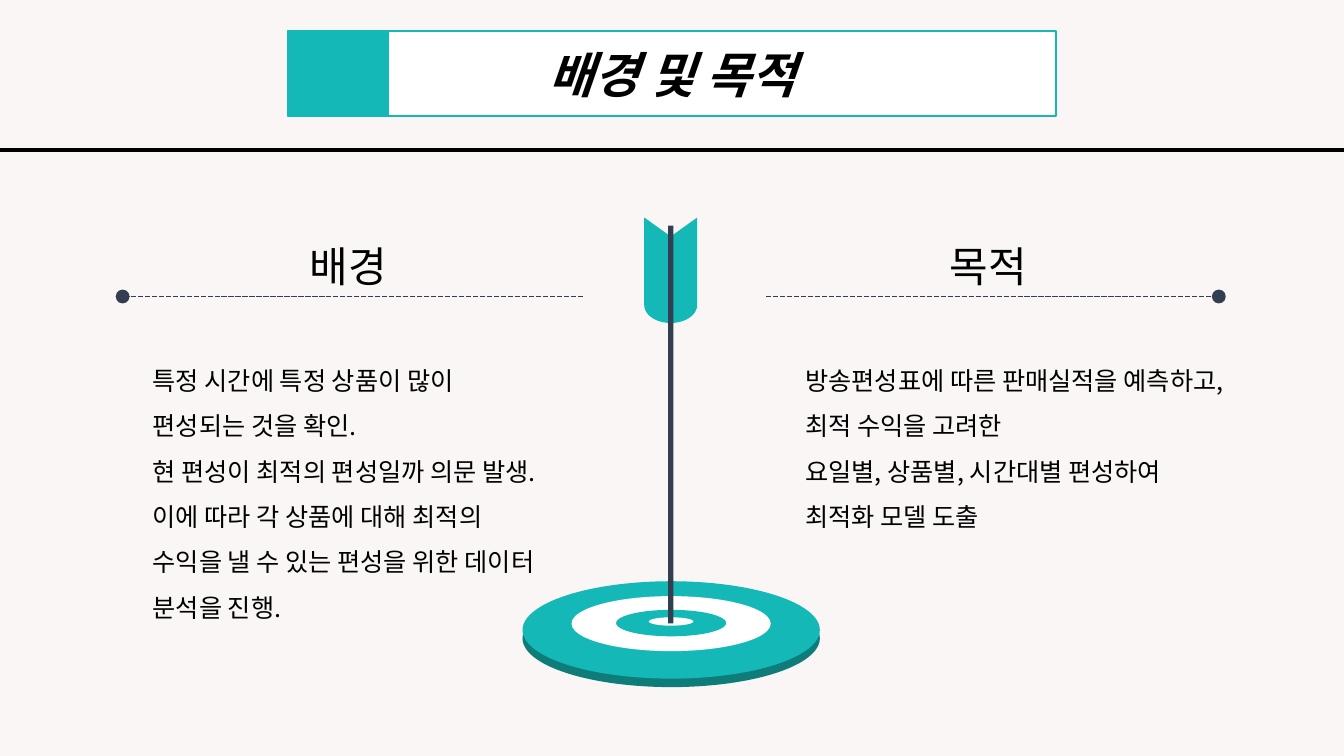
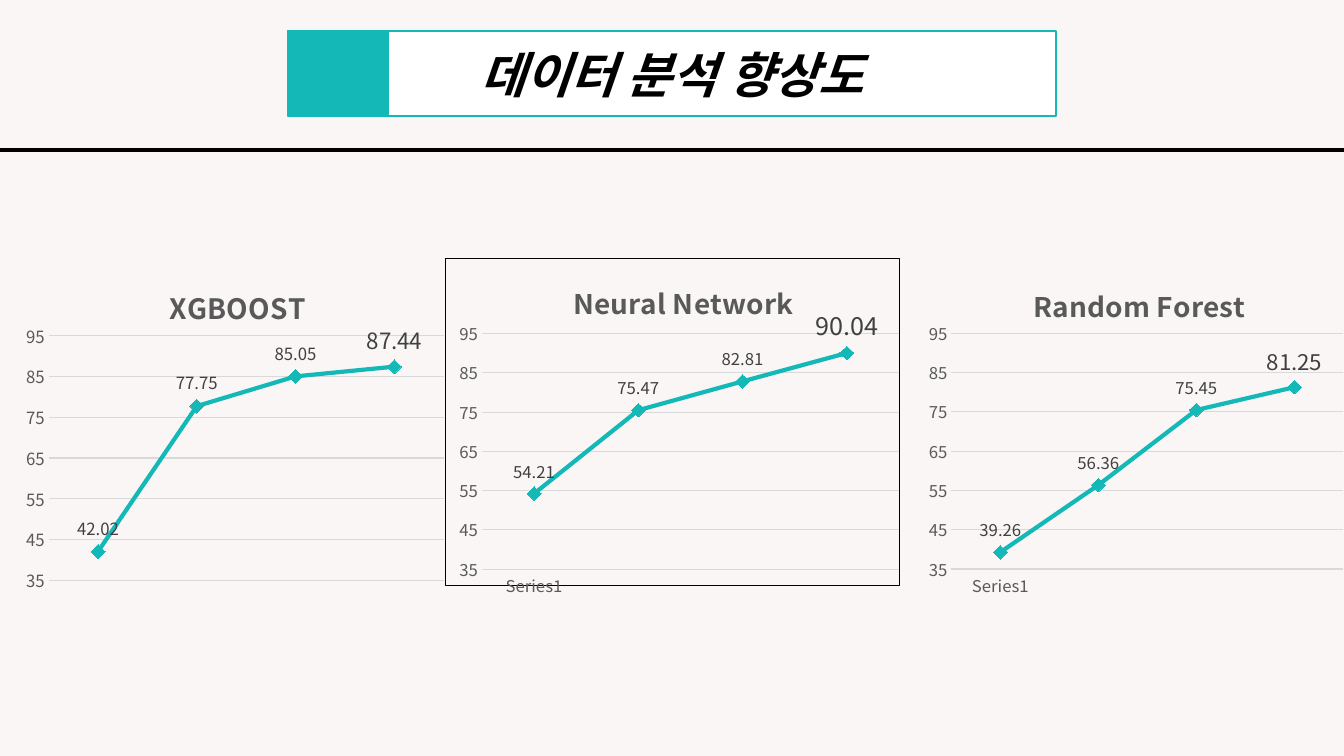
from math import cos, pi, sin
from typing import NamedTuple

from lxml import etree
from pptx import Presentation
from pptx.chart.data import CategoryChartData
from pptx.dml.color import RGBColor
from pptx.enum.chart import XL_CHART_TYPE, XL_LABEL_POSITION, XL_MARKER_STYLE, XL_TICK_MARK
from pptx.enum.dml import MSO_LINE
from pptx.enum.shapes import MSO_CONNECTOR, MSO_SHAPE
from pptx.enum.text import MSO_ANCHOR, MSO_AUTO_SIZE, PP_ALIGN
from pptx.oxml.ns import qn
from pptx.util import Inches, Pt

FONT = "Noto Sans CJK KR"
COLORS = {
    "paper": "F9F6F5",
    "white": "FFFFFF",
    "black": "000000",
    "teal": "14B9B7",
    "deep_teal": "0E7C79",
    "navy": "333F50",
    "label": "404040",
    "axis": "595959",
    "grid": "D9D9D9",
}

# The slide is a grid of 160 columns by 90 rows.
COLUMNS, ROWS = 160, 90
CELL = Inches(7.5) // ROWS


class Box(NamedTuple):
    """An area in grid cells."""
    x: float
    y: float
    w: float
    h: float

    def share(self, x, y, w, h):
        """The area at the given shares of this one."""
        return Box(self.x + x * self.w, self.y + y * self.h, w * self.w, h * self.h)

    def emu(self):
        return [round(cells * CELL) for cells in self]


HEADER = Box(34.3, 3.7, 91.4, 10.1)
HEADER_RULE_ROW = 17.9


def color(name):
    return RGBColor.from_string(COLORS[name])


def paint(shape, fill, line=None, width=1):
    shape.fill.solid()
    shape.fill.fore_color.rgb = color(fill)
    if line:
        shape.line.color.rgb = color(line)
        shape.line.width = Pt(width)
    else:
        shape.line.fill.background()


def style_font(font, size, name="black"):
    font.name = FONT
    font.size = Pt(size)
    font.color.rgb = color(name)


def style_paragraph(paragraph, size):
    """Style a paragraph, with the same font for Hangul."""
    style_font(paragraph.font, size)
    defaults = paragraph._p.pPr.find(qn("a:defRPr"))
    etree.SubElement(defaults, qn("a:ea"), typeface=FONT)


def add_block(slide, kind, box, fill, line=None):
    block = slide.shapes.add_shape(kind, *box.emu())
    block.shadow.inherit = False
    paint(block, fill, line)


def add_rule(slide, start, end, row, line, width):
    rule = slide.shapes.add_connector(
        MSO_CONNECTOR.STRAIGHT, *(round(cells * CELL) for cells in (start, row, end, row)))
    rule.line.color.rgb = color(line)
    rule.line.width = Pt(width)
    etree.SubElement(rule._element.spPr, qn("a:effectLst"))
    return rule


def add_text(slide, box, lines, size, spacing=1.0):
    frame = slide.shapes.add_textbox(*box.emu()).text_frame
    frame.word_wrap = True
    frame.text = "\n".join(lines)
    for paragraph in frame.paragraphs:
        paragraph.line_spacing = spacing
        style_paragraph(paragraph, size)


def add_titled_slide(prs, heading):
    slide = prs.slides.add_slide(prs.slide_layouts[5])
    title = slide.shapes.title
    title.left, title.top, title.width, title.height = HEADER.emu()
    paint(title, "white", "teal", 1.5)
    frame = title.text_frame
    frame.text = heading
    frame.auto_size = MSO_AUTO_SIZE.NONE
    frame.vertical_anchor = MSO_ANCHOR.MIDDLE
    paragraph = frame.paragraphs[0]
    paragraph.alignment = PP_ALIGN.CENTER
    style_paragraph(paragraph, 35)
    paragraph.font.bold = paragraph.font.italic = True
    add_rule(slide, 0, COLUMNS, HEADER_RULE_ROW, "black", 3)
    add_block(slide, MSO_SHAPE.RECTANGLE, HEADER.share(0, 0, 0.13, 1), "teal", "teal")
    return slide


def add_target(slide, box):
    rings = [  # fill, width, top, height
        ("deep_teal", 1, 0.08, 0.92),
        ("teal", 1, 0, 0.92),
        ("white", 0.67, 0.14, 0.52),
        ("teal", 0.37, 0.27, 0.25),
        ("white", 0.15, 0.34, 0.08),
    ]
    for fill, width, top, height in rings:
        ring = box.share((1 - width) / 2, top, width, height)
        add_block(slide, MSO_SHAPE.OVAL, ring, fill)


def add_arrow(slide, box):
    """An upright arrow: notched flight with a round foot, and a shaft."""
    flight = box.share(0, 0, 1, 0.26)
    notch, foot, steps = 0.18, 0.83, 24
    outline = [(0.5, notch), (1, 0)]
    for step in range(steps + 1):
        angle = pi * step / steps
        outline.append((0.5 + 0.5 * cos(angle), foot + (1 - foot) * sin(angle)))
    outline.append((0, 0))
    corners = [flight.share(x, y, 0, 0).emu()[:2] for x, y in outline]
    builder = slide.shapes.build_freeform(*corners[0])
    builder.add_line_segments(corners[1:], close=True)
    feathers = builder.convert_to_shape()
    feathers.shadow.inherit = False
    paint(feathers, "teal")
    add_block(slide, MSO_SHAPE.RECTANGLE, box.share(0.45, 0.02, 0.1, 0.98), "navy")


def add_topic(slide, box, heading, lines, inset, width, dot_left):
    """A heading on a dashed rule with a dot at its outer end, and text below."""
    heading_width, heading_height = 12.6, 7.3
    heading_left = box.x + (box.w - heading_width) / 2
    add_text(slide, Box(heading_left, box.y, heading_width, heading_height), [heading], 30)
    ends = sorted((box.x, box.x + box.w), reverse=dot_left)
    rule = add_rule(slide, *ends, box.y + heading_height, "navy", 1.25)
    rule.line.dash_style = MSO_LINE.SQUARE_DOT
    etree.SubElement(rule._element.spPr.find(qn("a:ln")), qn("a:tailEnd"),
                     type="oval", w="lg", len="lg")
    body_top = 13.1
    body = Box(box.x + inset, box.y + body_top, width, box.h - body_top)
    add_text(slide, body, lines, 18, 1.5)


def set_layout(parent, index, **places):
    """Fix where a piece of a chart sits, in shares of the chart."""
    for old in parent.findall(qn("c:layout")):
        parent.remove(old)
    layout = etree.Element(qn("c:layout"))
    manual = etree.SubElement(layout, qn("c:manualLayout"))
    for tag, value in places.items():
        etree.SubElement(manual, qn(f"c:{tag}"), val=str(value))
    parent.insert(index, layout)


def add_frame(chart):
    """Draw a thin black border around the chart."""
    area = etree.Element(qn("c:spPr"))
    etree.SubElement(area, qn("a:noFill"))
    line = etree.SubElement(area, qn("a:ln"), w=str(Pt(0.75)))
    fill = etree.SubElement(line, qn("a:solidFill"))
    etree.SubElement(fill, qn("a:srgbClr"), val=COLORS["black"])
    chart._chartSpace.find(qn("c:chart")).addnext(area)


def style_axes(chart, show_categories):
    values, categories = chart.value_axis, chart.category_axis
    values.minimum_scale, values.maximum_scale, values.major_unit = 35, 95, 10
    values.has_major_gridlines = True
    values.format.line.fill.background()
    categories.visible = show_categories
    for line in (values.major_gridlines.format.line, categories.format.line):
        line.color.rgb = color("grid")
        line.width = Pt(0.75)
    for axis in (values, categories):
        axis.major_tick_mark = axis.minor_tick_mark = XL_TICK_MARK.NONE
        style_font(axis.tick_labels.font, 12, "axis")


def style_scores(scores, final_size):
    scores.smooth = False
    scores.format.line.color.rgb = color("teal")
    scores.format.line.width = Pt(3)
    scores.marker.style = XL_MARKER_STYLE.DIAMOND
    scores.marker.size = 10
    scores.marker.format.fill.solid()
    scores.marker.format.fill.fore_color.rgb = color("teal")
    scores.marker.format.line.fill.background()
    labels = scores.data_labels
    labels.show_value = True
    final_label = scores.points[3].data_label
    for label, size in ((labels, 12), (final_label, final_size)):
        label.position = XL_LABEL_POSITION.ABOVE
        style_font(label.font, size, "label")


def add_score_chart(slide, box, model, categories, values, final_size, title_at, framed=False):
    chart_data = CategoryChartData()
    chart_data.categories = categories
    chart_data.add_series("Series 1", values)
    chart = slide.shapes.add_chart(
        XL_CHART_TYPE.LINE_MARKERS, *box.emu(), chart_data).chart
    style_font(chart.font, 10)
    chart.has_legend = False
    chart.has_title = True
    title = chart.chart_title
    title.text_frame.text = model
    style_font(title.text_frame.paragraphs[0].font, 20, "axis")
    x, y = title_at
    set_layout(title._element, 1, xMode="edge", yMode="edge", x=x, y=y)
    set_layout(chart._chartSpace.chart.plotArea, 0, layoutTarget="inner",
               xMode="edge", yMode="edge", x=0.08, y=0.23, w=0.92, h=0.72)
    plot = chart.plots[0]
    plot.vary_by_categories = False
    style_axes(chart, show_categories=not categories[-1])
    style_scores(plot.series[0], final_size)
    if framed:
        add_frame(chart)


def build_purpose_slide(prs):
    slide = add_titled_slide(prs, "배경 및 목적")
    add_target(slide, Box(62.2, 69.2, 35.4, 12.6))
    add_arrow(slide, Box(76.7, 25.9, 6.3, 48.3))
    add_topic(slide, Box(14.6, 28, 54.8, 47), "배경", [
        "특정 시간에 특정 상품이 많이 편성되는 것을 확인.",
        "현 편성이 최적의 편성일까 의문 발생.",
        "이에 따라 각 상품에 대해 최적의 수익을 낼 수 있는 편성을 위한 데이터 분석을 진행.",
    ], inset=2.4, width=47.9, dot_left=True)
    add_topic(slide, Box(91.2, 28, 53.9, 36), "목적", [
        "방송편성표에 따른 판매실적을 예측하고,",
        "최적 수익을 고려한",
        "요일별, 상품별, 시간대별 편성하여",
        "최적화 모델 도출",
    ], inset=3.5, width=56, dot_left=False)


def build_score_slide(prs):
    slide = add_titled_slide(prs, "데이터 분석 향상도")
    top, height = 30.7, 40.4
    first_only = ("Series1", "", "", "")
    add_score_chart(slide, Box(1.7, top, 51.2, height), "XGBOOST", ("1", "2", "3", "4"),
                    (42.02, 77.75, 85.05, 87.44), 16, (0.35, 0.06))
    add_score_chart(slide, Box(53, top, 54.1, height), "Neural Network", first_only,
                    (54.21, 75.47, 82.81, 90.04), 18, (0.27, 0.05), framed=True)
    add_score_chart(slide, Box(109.2, top, 50.8, height), "Random Forest", first_only,
                    (39.26, 56.36, 75.45, 81.25), 16, (0.26, 0.06))


def main():
    prs = Presentation()
    prs.slide_width, prs.slide_height = COLUMNS * CELL, ROWS * CELL
    backdrop = prs.slide_master.background.fill
    backdrop.solid()
    backdrop.fore_color.rgb = color("paper")
    build_purpose_slide(prs)
    build_score_slide(prs)
    prs.save("out.pptx")


if __name__ == "__main__":
    main()
